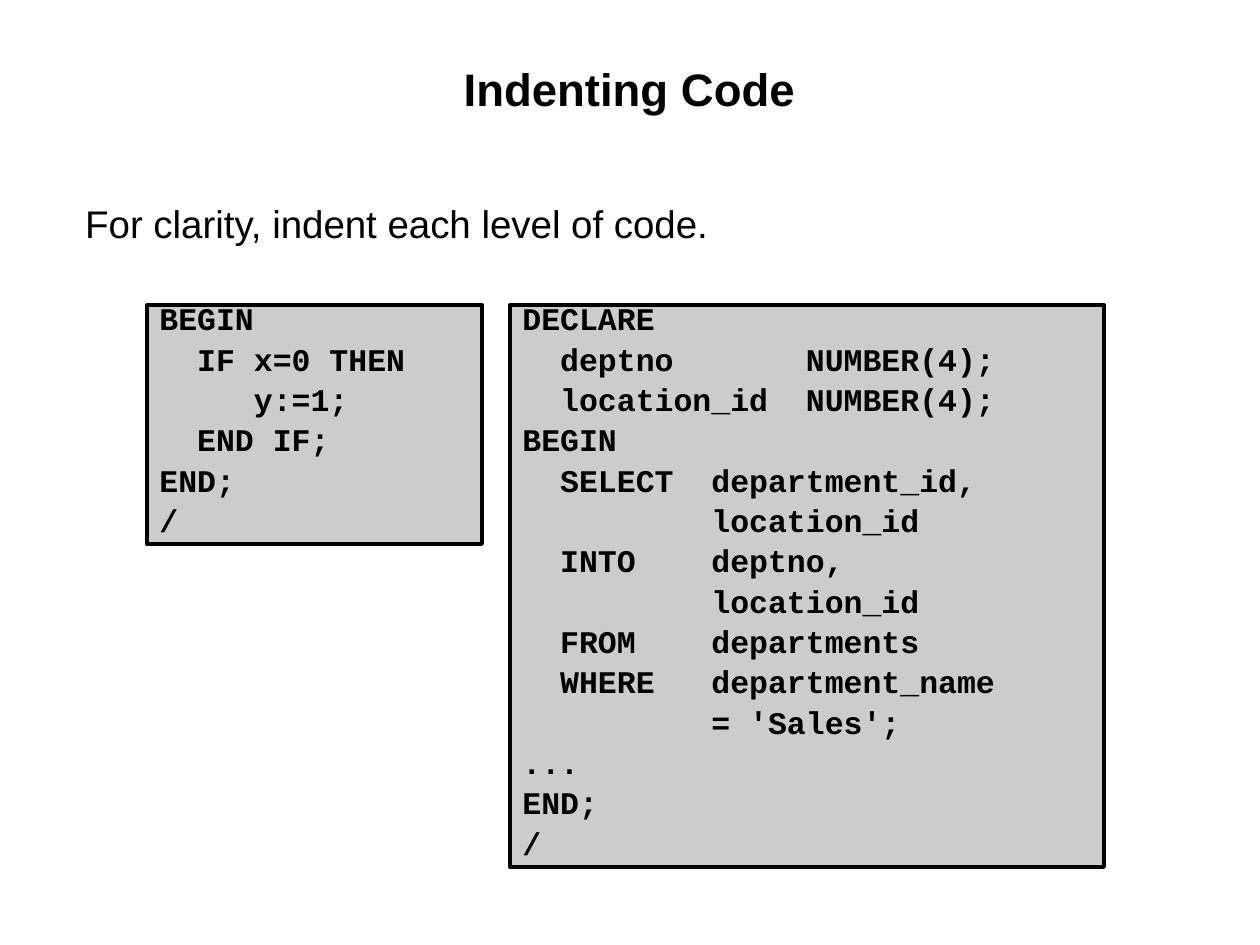
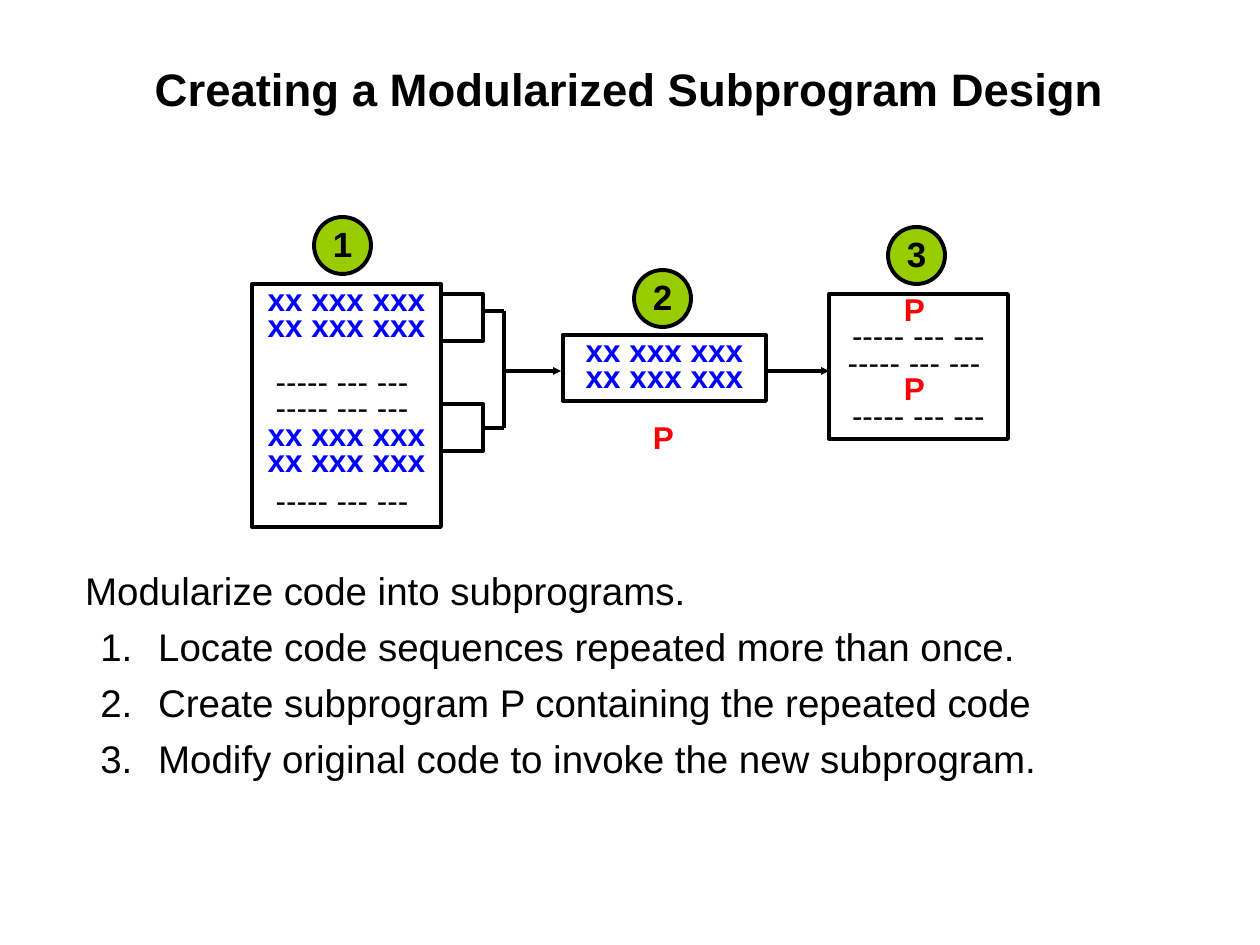
from lxml import etree
from pptx import Presentation
from pptx import util as u
from pptx.dml.color import RGBColor
from pptx.enum import shapes, text
from pptx.oxml.ns import qn

PX = 914400 / 126
BLACK = RGBColor(0x00, 0x00, 0x00)
BLUE = RGBColor(0x00, 0x00, 0xFF)
RED = RGBColor(0xFF, 0x00, 0x00)
GREEN = RGBColor(0x99, 0xCC, 0x00)
GRAY = RGBColor(0xCC, 0xCC, 0xCC)
SANS, MONO = "Arial", "Courier New"
LINE_WIDTH = u.Pt(2.25)
CENTER = text.PP_ALIGN.CENTER

LOOP_CODE = """BEGIN
  IF x=0 THEN
     y:=1;
  END IF;
END;
/"""
QUERY_CODE = """DECLARE
  deptno       NUMBER(4);
  location_id  NUMBER(4);
BEGIN
  SELECT  department_id,
          location_id
  INTO    deptno,
          location_id
  FROM    departments
  WHERE   department_name
          = 'Sales';
...
END;
/"""
STEPS = (
    "Locate code sequences repeated more than once.",
    "Create subprogram P containing the repeated code",
    "Modify original code to invoke the new subprogram.",
)
REPEATED = ("xx xxx xxx", BLUE, True)
OTHER = ("----- --- --- ", BLACK, False)
CALL = ("P ", RED, True)


def emu(*lengths):
    """Turn px lengths into EMU."""
    return [u.Emu(round(length * PX)) for length in lengths]


def set_frame(frame, inset_x, inset_y, wrap=True, anchor=text.MSO_ANCHOR.TOP):
    """Set the insets, wrapping and anchor of a text frame."""
    frame.auto_size = text.MSO_AUTO_SIZE.NONE
    frame.word_wrap = wrap
    frame.vertical_anchor = anchor
    frame.margin_left = frame.margin_right = u.Pt(inset_x)
    frame.margin_top = frame.margin_bottom = u.Pt(inset_y)


def add_paragraph(frame, words, size, color=BLACK, bold=False, font=SANS,
                  align=text.PP_ALIGN.LEFT, spacing=1.0, before=0):
    """Write one paragraph, using the empty first one when there is one."""
    paragraph = frame.paragraphs[0]
    if paragraph.runs:
        paragraph = frame.add_paragraph()
    paragraph.alignment = align
    paragraph.line_spacing = spacing
    paragraph.space_before = u.Pt(before)
    run = paragraph.add_run()
    run.text = words
    run.font.name, run.font.size = font, u.Pt(size)
    run.font.bold = bold
    run.font.color.rgb = color
    return paragraph


def outline(shape, fill=None):
    """Give a shape a black outline, an optional fill and no shadow."""
    shape.shadow.inherit = False
    shape.line.color.rgb = BLACK
    shape.line.width = LINE_WIDTH
    if fill is None:
        shape.fill.background()
    else:
        shape.fill.solid()
        shape.fill.fore_color.rgb = fill


def add_titled_slide(presentation, title):
    """Add a slide with the shared title style."""
    slide = presentation.slides.add_slide(presentation.slide_layouts[5])
    placeholder = slide.shapes.title
    (placeholder.left, placeholder.top,
     placeholder.width, placeholder.height) = emu(84, 60, 1091, 121)
    set_frame(placeholder.text_frame, 0.7, 0.7)
    add_paragraph(placeholder.text_frame, title, 26, bold=True, align=CENTER)
    return slide


def add_body(slide, top, height, lead, steps=()):
    """Add the lead sentence and any numbered steps below it."""
    frame = slide.shapes.add_textbox(*emu(84, top, 1091, height)).text_frame
    set_frame(frame, 0.7, 0.7)
    add_paragraph(frame, lead, 22)
    for step in steps:
        paragraph = add_paragraph(frame, step, 22, before=5.5)
        properties = paragraph._p.get_or_add_pPr()
        left, indent = emu(73, -58)
        properties.set("marL", str(left))
        properties.set("indent", str(indent))
        number = etree.SubElement(properties, qn("a:buAutoNum"))
        number.set("type", "arabicPeriod")


def add_box(slide, left, top, width, height, fill=None):
    """Add an outlined rectangle and return its text frame."""
    box = slide.shapes.add_shape(shapes.MSO_SHAPE.RECTANGLE, *emu(left, top, width, height))
    outline(box, fill)
    set_frame(box.text_frame, 7.2, 3.6)
    return box.text_frame


def add_code(slide, left, top, width, height, code):
    """Add a gray box of code, one paragraph for each line."""
    frame = add_box(slide, left, top, width, height, GRAY)
    for index, line in enumerate(code.splitlines()):
        add_paragraph(frame, line, 18, bold=True, font=MONO, spacing=0.65,
                      before=9 if index else 0)


def add_program(slide, left, top, width, height, lines, gaps=None):
    """Add a box of schematic code lines with gaps before chosen lines."""
    frame = add_box(slide, left, top, width, height)
    for index, (words, color, bold) in enumerate(lines):
        add_paragraph(frame, words, 18, color, bold, align=CENTER, spacing=0.7,
                      before=(gaps or {}).get(index, 0))


def add_line(slide, start_x, start_y, end_x, end_y, arrow=False):
    """Add a straight black line, with an arrowhead if asked."""
    line = slide.shapes.add_connector(shapes.MSO_CONNECTOR.STRAIGHT,
                                      *emu(start_x, start_y, end_x, end_y))
    line.line.color.rgb = BLACK
    line.line.width = LINE_WIDTH
    if arrow:
        head = etree.SubElement(line.line._get_or_add_ln(), qn("a:tailEnd"))
        for name, value in (("type", "triangle"), ("w", "sm"), ("len", "sm")):
            head.set(name, value)
    etree.SubElement(line._element.spPr, qn("a:effectLst"))


def add_bracket(slide, left, top, width, height):
    """Add a bracket open to the left."""
    right, bottom = left + width, top + height
    builder = slide.shapes.build_freeform(*emu(left, top))
    corners = ((right, top), (right, bottom), (left, bottom))
    builder.add_line_segments([emu(*corner) for corner in corners], close=False)
    outline(builder.convert_to_shape())


def add_badge(slide, left, top, number):
    """Add a green numbered circle."""
    badge = slide.shapes.add_shape(shapes.MSO_SHAPE.OVAL, *emu(left, top, 57, 57))
    outline(badge, GREEN)
    set_frame(badge.text_frame, 3.6, 3.6, False, text.MSO_ANCHOR.MIDDLE)
    add_paragraph(badge.text_frame, str(number), 20, bold=True, align=CENTER, spacing=0.95)


def add_diagram(slide, left, top):
    """Draw repeated code moving into subprogram P and calls replacing it."""
    add_program(slide, left, top + 67, 189, 243,
                [REPEATED] * 2 + [OTHER] * 2 + [REPEATED] * 2 + [OTHER],
                {2: 16.5, 6: 7.5})
    add_program(slide, left + 311, top + 118, 203, 66, [REPEATED] * 2)
    centered = (OTHER[0].rstrip(), *OTHER[1:])
    add_program(slide, left + 577, top + 77, 179, 145,
                [CALL, centered, OTHER, CALL, centered])

    trunk = left + 252
    for bracket_top, stub in ((77, 94), (187, 211)):
        add_bracket(slide, left + 189, top + bracket_top, 42, 47)
        add_line(slide, left + 231, top + stub, trunk, top + stub)
    add_line(slide, trunk, top + 94, trunk, top + 211)
    for start, end in ((252, 309), (514, 577)):
        add_line(slide, left + start, top + 154, left + end, top + 154, arrow=True)

    label = slide.shapes.add_textbox(*emu(left + 389, top + 195, 45, 50)).text_frame
    set_frame(label, 7.2, 3.6, False)
    add_paragraph(label, "P", 18, RED, True, align=CENTER)

    for number, (x, y) in enumerate(((62, 0), (382, 53), (636, 10)), 1):
        add_badge(slide, left + x, top + y, number)


def build_indenting(presentation):
    """Build the slide on indenting code."""
    slide = add_titled_slide(presentation, "Indenting Code")
    add_body(slide, 199, 106, "For clarity, indent each level of code.")
    add_code(slide, 147, 305, 335, 239, LOOP_CODE)
    add_code(slide, 510, 305, 594, 562, QUERY_CODE)


def build_modularizing(presentation):
    """Build the slide on subprogram design."""
    slide = add_titled_slide(presentation, "Creating a Modularized Subprogram Design")
    add_body(slide, 566, 216, "Modularize code into subprograms.", STEPS)
    add_diagram(slide, 252, 217)


def main():
    """Build and save the presentation."""
    presentation = Presentation()
    presentation.slide_width, presentation.slide_height = emu(1260, 945)
    build_indenting(presentation)
    build_modularizing(presentation)
    presentation.save("out.pptx")


if __name__ == "__main__":
    main()
